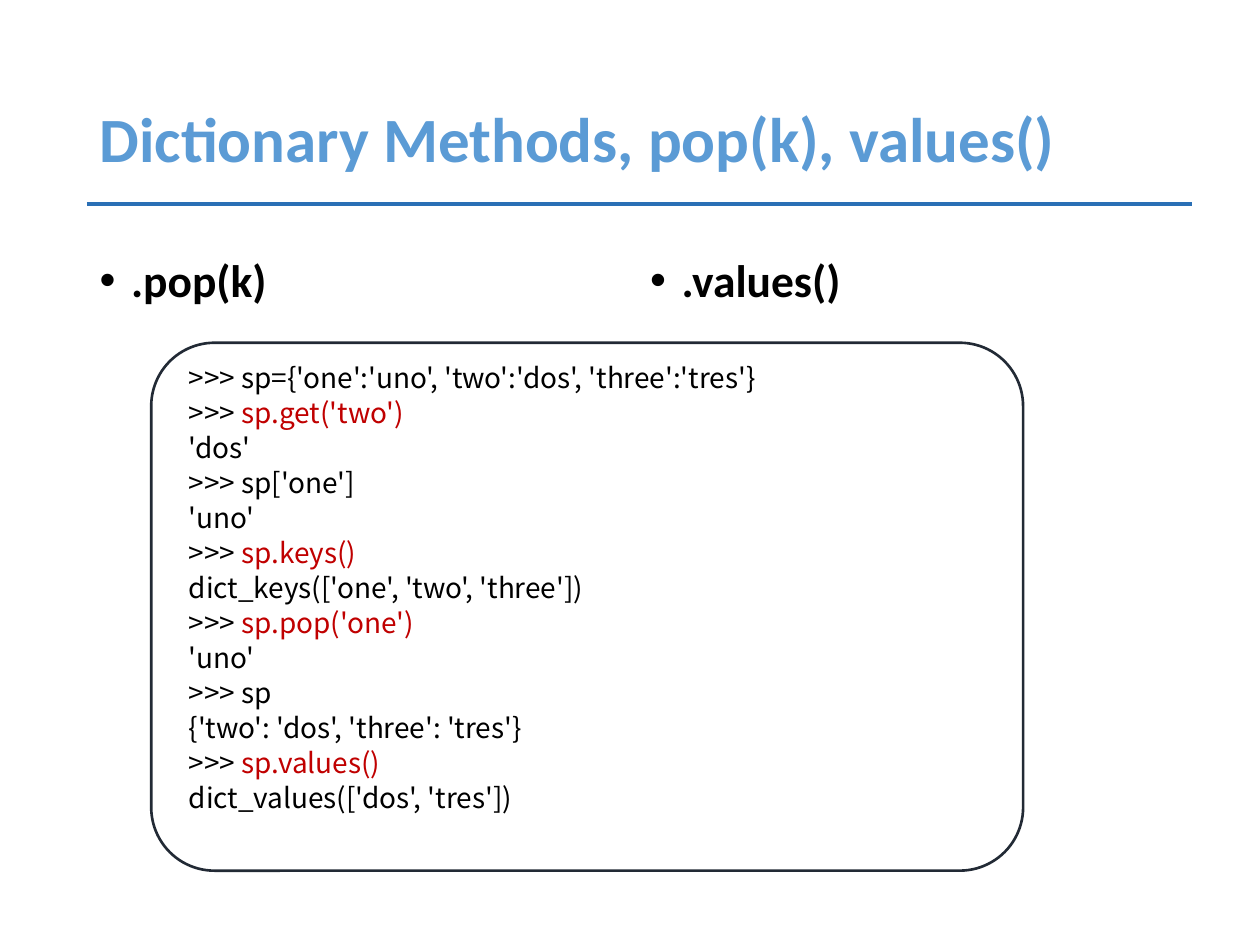
import pptx
import pptx.dml.color
import pptx.enum.shapes
import pptx.enum.text
import pptx.util
from lxml import etree

Inches = pptx.util.Inches
Pt = pptx.util.Pt
BLACK, RED = "000000", "C00000"
HEADING_FONT, CODE_FONT = "Calibri", "Noto Sans CJK KR"

TITLE = "Dictionary Methods, pop(k), values()"
METHODS = [".pop(k)", ".values()"]
PROMPT = ">>> "
SESSION = [
    [(PROMPT + "sp={'one':'uno', 'two':'dos', 'three':'tres'}", BLACK)],
    [(PROMPT, BLACK), ("sp.get('two')", RED)],
    [("'dos'", BLACK)],
    [(PROMPT + "sp['one']", BLACK)],
    [("'uno'", BLACK)],
    [(PROMPT, BLACK), ("sp.keys()", RED)],
    [("dict_keys(['one', 'two', 'three'])", BLACK)],
    [(PROMPT, BLACK), ("sp.pop('one')", RED)],
    [("'uno'", BLACK)],
    [(PROMPT + "sp", BLACK)],
    [("{'two': 'dos', 'three': 'tres'}", BLACK)],
    [(PROMPT, BLACK), ("sp.values()", RED)],
    [("dict_values(['dos', 'tres'])", BLACK)],
]
LEFT, COLUMN_WIDTH, COLUMN_STEP = 0.69, 4.25, 4.37


def color(value):
    return pptx.dml.color.RGBColor.from_string(value)


def place(shape, left, top, width, height):
    shape.left, shape.top = Inches(left), Inches(top)
    shape.width, shape.height = Inches(width), Inches(height)


def add_run(paragraph, text, size, font_name, value, bold=False):
    run = paragraph.add_run()
    run.text = text
    run.font.size = Pt(size)
    run.font.name = font_name
    run.font.bold = bold
    run.font.color.rgb = color(value)


def add_bullet(paragraph):
    properties = paragraph._p.get_or_add_pPr()
    properties.set("marL", str(Inches(0.25)))
    properties.set("indent", str(Inches(-0.25)))
    namespace = "{" + properties.nsmap["a"] + "}"
    etree.SubElement(properties, namespace + "buFont", typeface="Arial")
    etree.SubElement(properties, namespace + "buChar", char="•")


def fill_title(title):
    place(title, LEFT, 0.4, 8.62, 1.45)
    frame = title.text_frame
    frame.auto_size = pptx.enum.text.MSO_AUTO_SIZE.NONE
    frame.vertical_anchor = pptx.enum.text.MSO_ANCHOR.MIDDLE
    paragraph = frame.paragraphs[0]
    paragraph.alignment = pptx.enum.text.PP_ALIGN.LEFT
    paragraph.line_spacing = 0.9
    add_run(paragraph, TITLE, 36, HEADING_FONT, "5B9BD5", True)


def fill_methods(slide):
    for column, method in enumerate(METHODS):
        body = slide.placeholders[column + 1]
        place(body, LEFT + column * COLUMN_STEP, 2, COLUMN_WIDTH, 4.76)
        body.text_frame.auto_size = pptx.enum.text.MSO_AUTO_SIZE.NONE
        paragraph = body.text_frame.paragraphs[0]
        add_bullet(paragraph)
        paragraph.line_spacing = 0.9
        paragraph.space_before = Pt(0)
        add_run(paragraph, method, 26, HEADING_FONT, BLACK, True)


def add_title_rule(slide):
    rule = slide.shapes.add_connector(
        pptx.enum.shapes.MSO_CONNECTOR.STRAIGHT,
        Inches(LEFT), Inches(1.62), Inches(9.46), Inches(1.62))
    rule.line.color.rgb = color("2A6FB5")
    rule.line.width = Pt(2.25)
    properties = rule._element.spPr
    etree.SubElement(properties, "{" + properties.nsmap["a"] + "}effectLst")


def add_code_frame(slide):
    frame = slide.shapes.add_shape(
        pptx.enum.shapes.MSO_SHAPE.ROUNDED_RECTANGLE,
        Inches(1.2), Inches(2.72), Inches(6.92), Inches(4.19))
    frame.adjustments[0] = 0.12
    frame.shadow.inherit = False
    frame.fill.background()
    frame.line.color.rgb = color("222A35")
    frame.line.width = Pt(1.5)


def add_session(slide):
    box = slide.shapes.add_textbox(Inches(1.4), Inches(2.8), Inches(6.62), Inches(3.75))
    frame = box.text_frame
    frame.word_wrap = True
    frame.auto_size = pptx.enum.text.MSO_AUTO_SIZE.SHAPE_TO_FIT_TEXT
    for index, line in enumerate(SESSION):
        paragraph = frame.add_paragraph() if index else frame.paragraphs[0]
        paragraph.line_spacing = Pt(20)
        for text, value in line:
            add_run(paragraph, text, 16, CODE_FONT, value)


def main():
    presentation = pptx.Presentation()
    presentation.slide_width, presentation.slide_height = Inches(10), Inches(7.5)
    slide = presentation.slides.add_slide(presentation.slide_layouts.get_by_name("Two Content"))
    fill_title(slide.shapes.title)
    fill_methods(slide)
    add_title_rule(slide)
    add_code_frame(slide)
    add_session(slide)
    presentation.save("out.pptx")


if __name__ == "__main__":
    main()
